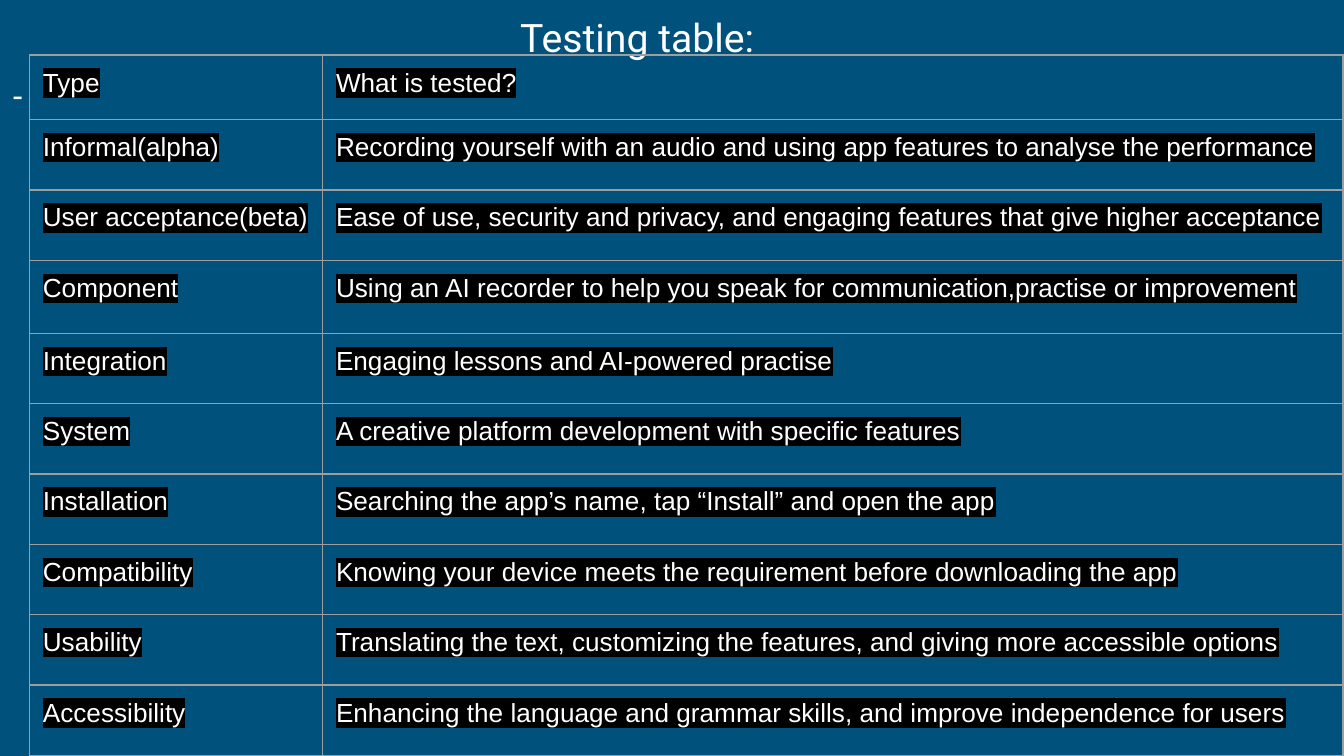
"""Build the slide with the app's testing table."""
import pptx
import pptx.dml.color
import pptx.oxml
import pptx.oxml.ns
import pptx.util

Cm = pptx.util.Cm

TITLE = "Testing table:"
DASH = "-"
TESTS = [
    ("Type", "What is tested?"),
    ("Informal(alpha)", "Recording yourself with an audio and using app features to analyse the performance"),
    ("User acceptance(beta)", "Ease of use, security and privacy, and engaging features that give higher acceptance"),
    ("Component", "Using an AI recorder to help you speak for communication,practise or improvement"),
    ("Integration", "Engaging lessons and AI-powered practise"),
    ("System", "A creative platform development with specific features"),
    ("Installation", "Searching the app’s name, tap “Install” and open the app"),
    ("Compatibility", "Knowing your device meets the requirement before downloading the app"),
    ("Usability", "Translating the text, customizing the features, and giving more accessible options"),
    ("Accessibility", "Enhancing the language and grammar skills, and improve independence for users"),
]
COLORS = {"background": "00517C", "text": "FFFFFF", "highlight": "000000", "border": "9E9E9E"}
COLUMN_WIDTHS = (5.54, 19.28)
ROW_HEIGHT = 1.33
SPECIAL_HEIGHTS = {"Type": 1.22, "Component": 1.38}
PADDING = Cm(0.25)
BORDER_WIDTH = pptx.util.Pt(0.75)


def rgb(name):
    return pptx.dml.color.RGBColor.from_string(COLORS[name])


def set_padding(holder):
    holder.margin_left = holder.margin_right = PADDING
    holder.margin_top = holder.margin_bottom = PADDING


def write(frame, text, font, size):
    frame.text = text
    run = frame.paragraphs[0].runs[0]
    run.font.name = font
    run.font.size = pptx.util.Pt(size)
    run.font.color.rgb = rgb("text")
    return run


def add_label(slide, text, size, left, top, width, height):
    frame = slide.shapes.add_textbox(Cm(left), Cm(top), Cm(width), Cm(height)).text_frame
    frame.word_wrap = True
    set_padding(frame)
    write(frame, text, "Roboto", size)


def color_xml(tag, name, attributes=""):
    fill = f'<a:srgbClr val="{COLORS[name]}"/>'
    if tag != "highlight":
        fill = f"<a:solidFill>{fill}</a:solidFill>"
    namespace = pptx.oxml.ns.nsdecls("a")
    return pptx.oxml.parse_xml(f"<a:{tag} {namespace} {attributes}>{fill}</a:{tag}>")


def fill_cell(cell, text):
    set_padding(cell)
    cell.fill.background()
    run = write(cell.text_frame, text, "Arial", 14)
    color = run.font._element.find(pptx.oxml.ns.qn("a:solidFill"))
    color.addnext(color_xml("highlight", "highlight"))
    properties = cell._tc.get_or_add_tcPr()
    for position, side in enumerate(("lnL", "lnR", "lnT", "lnB")):
        properties.insert(position, color_xml(side, "border", f'w="{BORDER_WIDTH}"'))


def add_tests(slide, left, top):
    heights = [SPECIAL_HEIGHTS.get(kind, ROW_HEIGHT) for kind, _ in TESTS]
    tests = slide.shapes.add_table(
        len(TESTS), len(COLUMN_WIDTHS), Cm(left), Cm(top),
        Cm(sum(COLUMN_WIDTHS)), Cm(sum(heights)),
    ).table
    tests.first_row = tests.horz_banding = False
    for column, width in zip(tests.columns, COLUMN_WIDTHS):
        column.width = Cm(width)
    for row, height, texts in zip(tests.rows, heights, TESTS):
        row.height = Cm(height)
        for cell, text in zip(row.cells, texts):
            fill_cell(cell, text)


def main():
    deck = pptx.Presentation()
    deck.slide_width, deck.slide_height = Cm(25.4), Cm(14.29)
    slide = deck.slides.add_slide(deck.slide_layouts[6])
    slide.background.fill.solid()
    slide.background.fill.fore_color.rgb = rgb("background")
    add_label(slide, TITLE, 21, 9.58, 0, 5.03, 1.17)
    add_label(slide, DASH, 18, 0, 1.17, 25.4, 13.12)
    add_tests(slide, 0.56, 1.04)
    deck.save("out.pptx")


if __name__ == "__main__":
    main()
